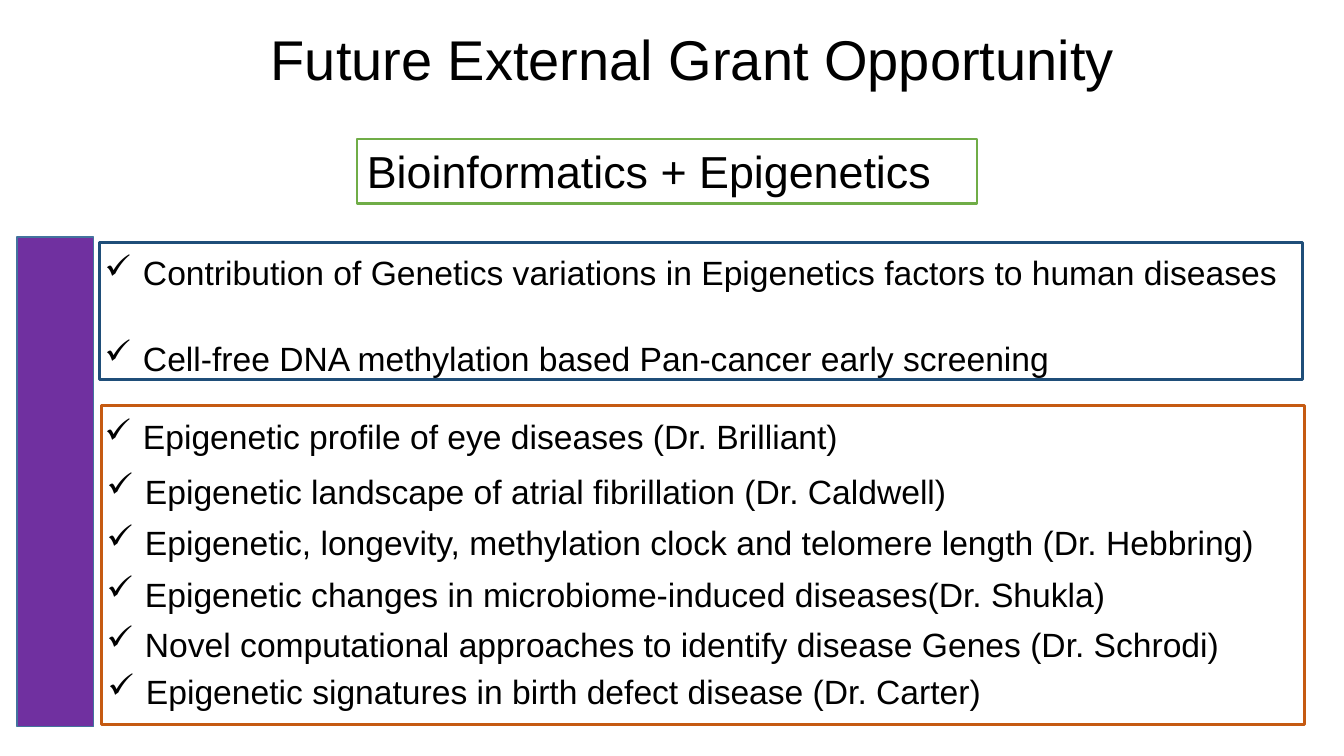
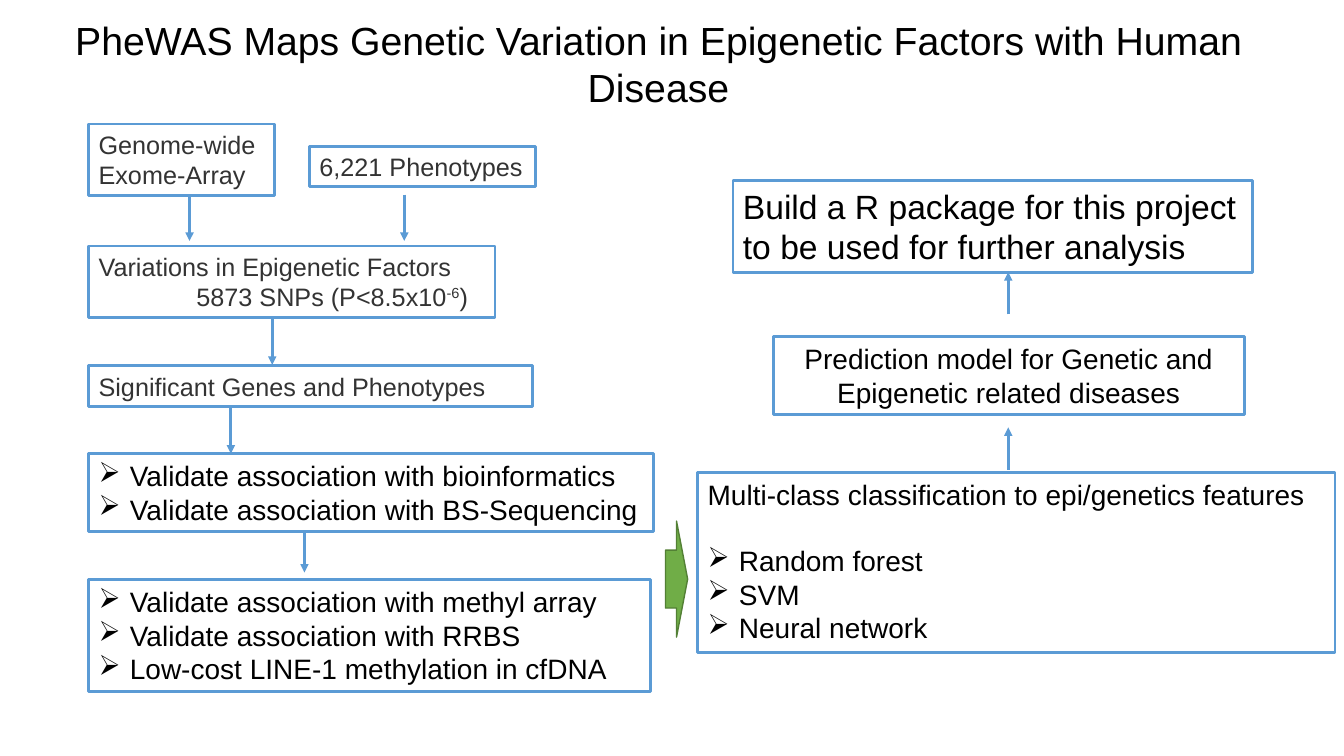
"""Build two slides on epigenetics grant plans and the PheWAS workflow."""
import pptx
import pptx.util
import pptx.dml.color
import pptx.enum.shapes
import pptx.enum.text
import pptx.oxml
import pptx.oxml.ns

RGB = pptx.dml.color.RGBColor
BLACK = RGB(0x00, 0x00, 0x00)
CHARCOAL = RGB(0x33, 0x33, 0x33)
WHITE = RGB(0xFF, 0xFF, 0xFF)
GREEN = RGB(0x70, 0xAD, 0x47)
DARK_GREEN = RGB(0x53, 0x80, 0x35)
PURPLE = RGB(0x70, 0x30, 0xA0)
STEEL = RGB(0x43, 0x73, 0x9E)
ORANGE = RGB(0xC5, 0x5A, 0x11)
NAVY = RGB(0x1F, 0x4E, 0x79)
BLUE = RGB(0x5B, 0x9B, 0xD5)

PX = 9144
FONT = "Arial"
BULLET_INDENTS = {"✓": 38, "➢": 31}
SHAPES = pptx.enum.shapes.MSO_SHAPE
LEFT = pptx.enum.text.PP_ALIGN.LEFT
CENTER = pptx.enum.text.PP_ALIGN.CENTER

GRANT_TITLE = ("Future External Grant Opportunity", (81, 19, 1211, 77), 40)
GRANT_THEME = ("Bioinformatics + Epigenetics", (354, 138, 615, 64))
GRANT_STRIP = (17, 235, 76, 486)
GRANT_FRAMES = [((101, 402, 1193, 317), ORANGE), ((99, 241, 1193, 136), NAVY)]
GRANT_IDEAS = [
    (94, 245, "✓ Contribution of Genetics variations in Epigenetics factors to human diseases"),
    (94, 330, "✓ Cell-free DNA methylation based Pan-cancer early screening"),
    (94, 408, "✓ Epigenetic profile of eye diseases (Dr. Brilliant)"),
    (96, 462, "✓ Epigenetic landscape of atrial fibrillation (Dr. Caldwell)"),
    (96, 513, "✓ Epigenetic, longevity, methylation clock and telomere length (Dr. Hebbring)"),
    (96, 564, "✓ Epigenetic changes in microbiome-induced diseases(Dr. Shukla)"),
    (96, 614, "✓ Novel computational approaches to identify disease Genes (Dr. Schrodi)"),
    (97, 661, "✓ Epigenetic signatures in birth defect disease (Dr. Carter)"),
]
IDEA_SIZE = (1213, 50)

STUDY_TITLE = ("PheWAS Maps Genetic Variation in Epigenetic Factors with Human Disease",
               (64, 11, 1178, 104), 28)
DATA_STEPS = [
    ((88, 123, 184, 71), ["Genome-wide", "Exome-Array"]),
    ((307, 145, 224, 40), ["6,221 Phenotypes"]),
    ((88, 363, 440, 40), ["Significant Genes and Phenotypes"]),
]
FACTORS_STEP = ((88, 244, 403, 71),
                ["Variations in Epigenetic Factors", "5873 SNPs (P<8.5x10"])
FACTORS_INDENT = 97
MODEL_STEPS = [
    ((88, 450, 560, 77), 20, LEFT,
     ["➢ Validate association with bioinformatics",
      "➢ Validate association with BS-Sequencing"]),
    ((88, 575, 557, 111), 20, LEFT,
     ["➢ Validate association with methyl array",
      "➢ Validate association with RRBS",
      "➢ Low-cost LINE-1 methylation in cfDNA"]),
    ((767, 334, 467, 77), 20, CENTER,
     ["Prediction model for Genetic and Epigenetic related diseases"]),
    ((727, 179, 515, 91), 24, LEFT,
     ["Build a R package for this project to be used for further analysis"]),
]
CLASSIFIER_STEP = ((692, 469, 632, 178),
                   ["Multi-class classification to epi/genetics features",
                    "➢ Random forest", "➢ SVM", "➢ Neural network"])
BLOCK_ARROW = (660, 517, 22, 115)
ARROWS = [(188, 193, 239), (401, 193, 239), (270, 314, 362), (229, 405, 450),
          (302, 528, 568), (1000, 466, 424), (1000, 312, 270)]


def scaled(lengths):
    return [length * PX for length in lengths]


def add_shape(page, place, fill, line, weight=2, preset=SHAPES.RECTANGLE):
    box = page.shapes.add_shape(preset, *scaled(place))
    box.shadow.inherit = False
    if fill is None:
        box.fill.background()
    else:
        box.fill.solid()
        box.fill.fore_color.rgb = fill
    box.line.color.rgb = line
    box.line.width = pptx.util.Pt(weight)
    return box


def set_indent(para, margin, hanging=0):
    properties = para._p.get_or_add_pPr()
    properties.set("marL", str(margin * PX))
    properties.set("indent", str(-hanging * PX))
    return properties


def write(box, lines, size, color=BLACK, align=LEFT):
    frame = box.text_frame
    frame.word_wrap = True
    frame.vertical_anchor = pptx.enum.text.MSO_ANCHOR.TOP
    for index, line in enumerate(lines):
        para = frame.add_paragraph() if index else frame.paragraphs[0]
        indent = BULLET_INDENTS.get(line[0])
        if indent:
            properties = set_indent(para, indent, indent)
            bullet = pptx.oxml.ns.qn("a:buChar")
            properties.append(properties.makeelement(bullet, {"char": line[0]}))
            line = line[2:]
        para.alignment = align
        para.font.name = FONT
        para.font.size = pptx.util.Pt(size)
        para.font.color.rgb = color
        para.add_run().text = line
    return frame.paragraphs


def add_text(page, place, lines, size, align=LEFT):
    write(page.shapes.add_textbox(*scaled(place)), lines, size, align=align)


def add_title(page, title):
    text, place, size = title
    add_text(page, place, [text], size, CENTER)


def add_arrow(page, x, start, end):
    arrow = page.shapes.add_connector(
        pptx.enum.shapes.MSO_CONNECTOR.STRAIGHT, *scaled((x, start, x, end)))
    arrow.line.color.rgb = BLUE
    arrow.line.width = pptx.util.Pt(2)
    outline = arrow.line._get_or_add_ln()
    outline.append(outline.makeelement(pptx.oxml.ns.qn("a:tailEnd"), {"type": "triangle"}))
    properties = arrow._element.spPr
    properties.append(properties.makeelement(pptx.oxml.ns.qn("a:effectLst"), {}))


def build_grants(page):
    add_title(page, GRANT_TITLE)
    theme, place = GRANT_THEME
    write(add_shape(page, place, WHITE, GREEN), [theme], 32)
    add_shape(page, GRANT_STRIP, PURPLE, STEEL, 1)
    for place, color in GRANT_FRAMES:
        add_shape(page, place, None, color)
    for left, top, idea in GRANT_IDEAS:
        add_text(page, (left, top, *IDEA_SIZE), [idea], 24)


def build_study(page):
    add_title(page, STUDY_TITLE)
    for place, lines in DATA_STEPS:
        write(add_shape(page, place, WHITE, BLUE), lines, 18, CHARCOAL)

    place, lines = FACTORS_STEP
    snps = write(add_shape(page, place, WHITE, BLUE), lines, 18, CHARCOAL)[1]
    set_indent(snps, FACTORS_INDENT)
    exponent = snps.add_run()
    exponent.text = "-6"
    exponent._r.get_or_add_rPr().set("baseline", "30000")
    snps.add_run().text = ")"

    for place, size, align, lines in MODEL_STEPS:
        write(add_shape(page, place, None, BLUE), lines, size, align=align)

    place, lines = CLASSIFIER_STEP
    methods = write(add_shape(page, place, None, BLUE), lines, 20)
    methods[1].space_before = pptx.util.Pt(23)

    add_shape(page, BLOCK_ARROW, GREEN, DARK_GREEN, 1, SHAPES.RIGHT_ARROW)
    for x, start, end in ARROWS:
        add_arrow(page, x, start, end)


def main():
    deck = pptx.Presentation()
    deck.slide_width, deck.slide_height = scaled((1333, 750))
    for build in (build_grants, build_study):
        build(deck.slides.add_slide(deck.slide_layouts[6]))
    deck.save("out.pptx")


if __name__ == "__main__":
    main()
